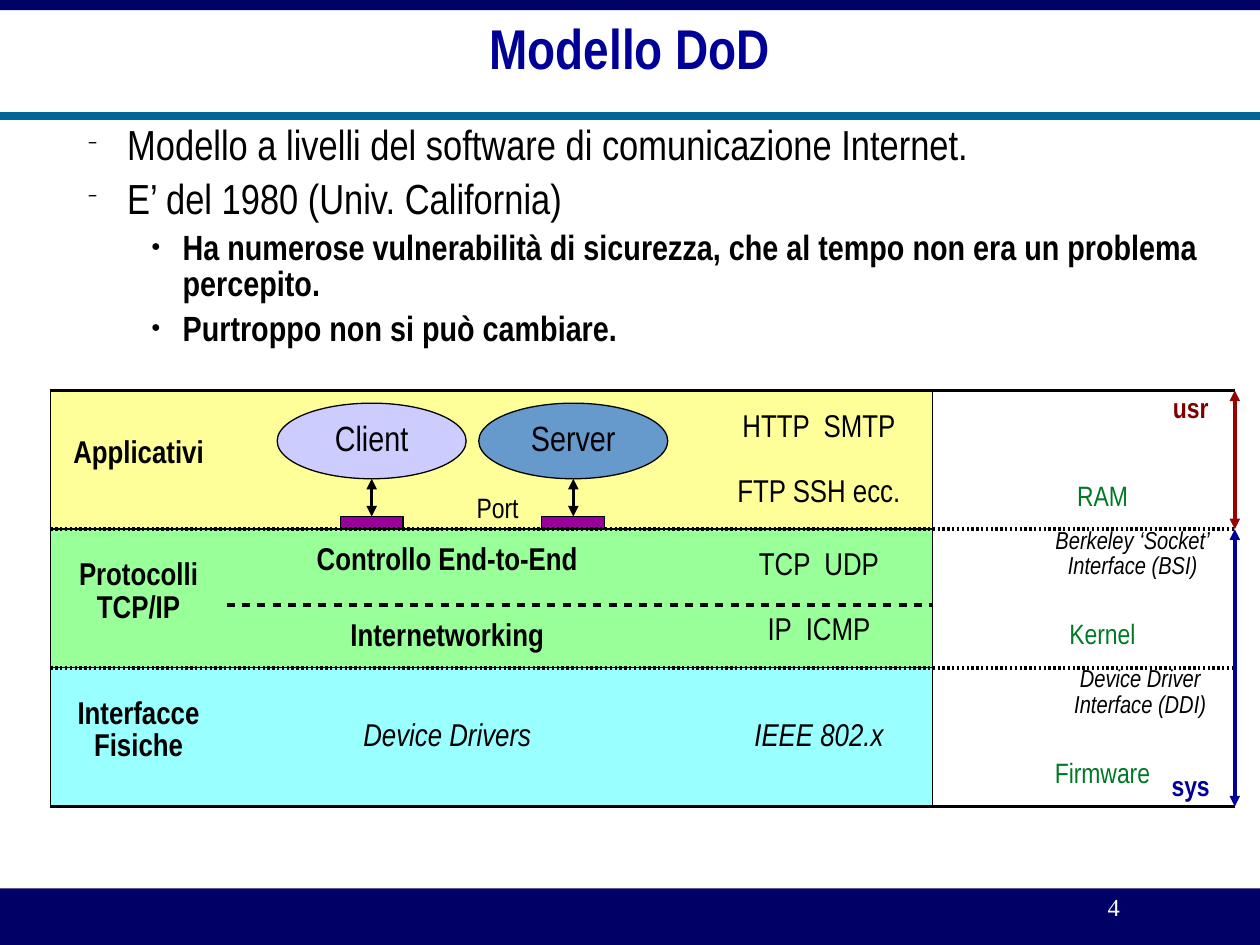
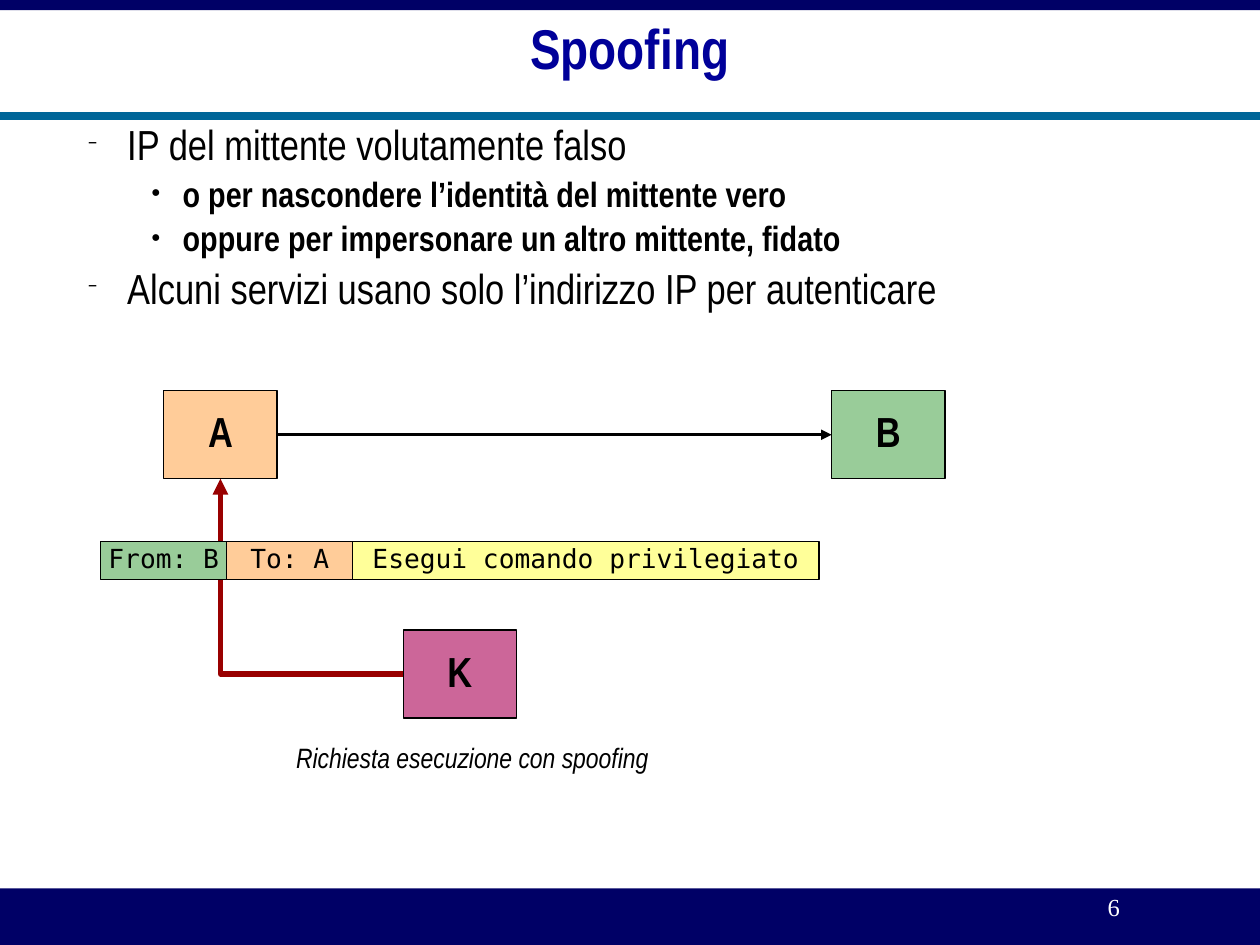
"""Builds two slides on the DoD model and on IP spoofing."""
import pptx
import pptx.dml.color
import pptx.enum.shapes
import pptx.enum.text
import pptx.oxml
import pptx.oxml.ns
import pptx.util

Inches = pptx.util.Inches
Pt = pptx.util.Pt
Shape = pptx.enum.shapes.MSO_SHAPE
Connector = pptx.enum.shapes.MSO_CONNECTOR
Align = pptx.enum.text.PP_ALIGN
Anchor = pptx.enum.text.MSO_ANCHOR

BLACK, WHITE, NAVY, BLUE, TEAL = "000000", "FFFFFF", "000066", "000099", "006699"
YELLOW, GREEN, CYAN, PURPLE = "FFFF99", "99FF99", "99FFFF", "990099"
SAGE, PEACH, PINK, DARK_RED = "99CC99", "FFCC99", "CC6699", "990000"
MAROON, FOREST, LILAC, STEEL = "800000", "007826", "CCCCFF", "6699CC"

PLAIN = {"name": "Arial Narrow", "size": Pt(18), "bold": False, "italic": False}
BOLD = PLAIN | {"bold": True}
ITALIC = PLAIN | {"italic": True}
SMALL = PLAIN | {"size": Pt(16)}
SMALL_BOLD = BOLD | {"size": Pt(16)}
INTERFACE = ITALIC | {"size": Pt(14)}
ROLE = PLAIN | {"size": Pt(20)}
HOST = BOLD | {"size": Pt(24)}
PACKET = PLAIN | {"name": "DejaVu Sans Mono", "size": Pt(15)}
TITLE = BOLD | {"size": Pt(32)}
PAGE = PLAIN | {"name": "Times New Roman", "size": Pt(14)}
LEVELS = {
    1: {"font": PLAIN | {"size": Pt(24)}, "bullet": "−", "margin": 0.81, "indent": -0.31, "before": 6},
    2: {"font": BOLD | {"size": Pt(20)}, "bullet": "●", "margin": 1.25, "indent": -0.25, "before": 5},
}
FRAME = {"margin_left": 0, "margin_right": 0, "margin_top": 0, "margin_bottom": 0,
         "auto_size": pptx.enum.text.MSO_AUTO_SIZE.NONE}
DOTTED, DASHED = (60, 60), (200, 180)
BOTH, FORWARD = ("headEnd", "tailEnd"), ("tailEnd",)


def rgb(value):
    return pptx.dml.color.RGBColor.from_string(value)


def apply(target, values):
    for key, value in values.items():
        setattr(target, key, value)


def child(parent, tag, **attributes):
    element = pptx.oxml.parse_xml(f"<a:{tag} {pptx.oxml.ns.nsdecls('a')}/>")
    for key, value in attributes.items():
        element.set(key, str(value))
    parent.append(element)
    return element


class Deck:
    def __init__(self):
        self.show = pptx.Presentation()
        self.show.slide_width, self.show.slide_height = Inches(10), Inches(7.5)
        self.slide = None

    def begin_slide(self, title, points, page):
        self.slide = self.show.slides.add_slide(self.show.slide_layouts[1])
        self.box((0, 7.05, 10, 0.45), NAVY, outline=None)
        self.box((0, 0, 10, 0.08), NAVY, outline=None)
        self.line((0, 0.92), (10, 0.92), TEAL, 4.5)
        self.label((7.8, 7.05, 2.08, 0.33), page, PAGE, WHITE)
        heading, body = self.slide.placeholders
        self.place(heading, (0.2, 0, 9.6, 0.83))
        self.set_lines(heading.text_frame, title, TITLE, BLUE)
        self.place(body, (0.2, 1, 9.6, 5.8))
        self.set_bullets(body.text_frame, points)

    def place(self, holder, at):
        apply(holder, dict(zip(("left", "top", "width", "height"), map(Inches, at))))

    def set_lines(self, frame, words, style, color=BLACK, gap=0, align=Align.CENTER):
        apply(frame, FRAME | {"word_wrap": False, "vertical_anchor": Anchor.MIDDLE})
        for number, line in enumerate(words.split("\n")):
            paragraph = frame.add_paragraph() if number else frame.paragraphs[0]
            apply(paragraph, {"alignment": align, "line_spacing": 0.86,
                              "space_before": Pt(gap if number else 0)})
            self.add_words(paragraph, line, style, color)

    def add_words(self, paragraph, words, style, color):
        run = paragraph.add_run()
        run.text = words
        apply(run.font, style)
        run.font.color.rgb = rgb(color)

    def set_bullets(self, frame, points):
        apply(frame, FRAME | {"word_wrap": True, "vertical_anchor": Anchor.TOP})
        for number, (level, words) in enumerate(points):
            look = LEVELS[level]
            paragraph = frame.add_paragraph() if number else frame.paragraphs[0]
            apply(paragraph, {"level": level, "alignment": Align.LEFT, "line_spacing": 0.86,
                              "space_before": Pt(look["before"])})
            properties = paragraph._p.get_or_add_pPr()
            properties.set("marL", str(Inches(look["margin"])))
            properties.set("indent", str(Inches(look["indent"])))
            child(child(properties, "buClr"), "srgbClr", val=BLACK)
            child(properties, "buSzPct", val=45000)
            child(properties, "buFont", typeface="Arial Narrow")
            child(properties, "buChar", char=look["bullet"])
            self.add_words(paragraph, words, look["font"], BLACK)

    def label(self, at, words, style, color=BLACK, gap=0, align=Align.CENTER):
        holder = self.slide.shapes.add_textbox(*map(Inches, at))
        self.set_lines(holder.text_frame, words, style, color, gap, align)

    def box(self, at, fill, words="", style=PLAIN, outline=BLACK, kind=Shape.RECTANGLE):
        block = self.slide.shapes.add_shape(kind, *map(Inches, at))
        block.shadow.inherit = False
        block.fill.solid()
        block.fill.fore_color.rgb = rgb(fill)
        if outline:
            block.line.color.rgb = rgb(outline)
            block.line.width = Pt(0)
        else:
            block.line.fill.background()
        if words:
            self.set_lines(block.text_frame, words, style)

    def line(self, start, end, color=BLACK, width=0, dash=None, heads=(), bent=False):
        kind = Connector.ELBOW if bent else Connector.STRAIGHT
        link = self.slide.shapes.add_connector(kind, *map(Inches, start + end))
        link.line.color.rgb = rgb(color)
        link.line.width = Pt(width)
        properties = link._element.spPr
        if bent:
            properties.find(pptx.oxml.ns.qn("a:prstGeom")).set("prst", "bentConnector2")
        stroke = properties.get_or_add_ln()
        if dash:
            on, off = dash
            child(child(stroke, "custDash"), "ds", d=on * 1000, sp=off * 1000)
        for head in heads:
            child(stroke, head, type="triangle")
        child(properties, "effectLst")


def dod_model(deck):
    deck.begin_slide("Modello DoD", [
        (1, "Modello a livelli del software di comunicazione Internet."),
        (1, "E’ del 1980 (Univ. California)"),
        (2, "Ha numerose vulnerabilità di sicurezza, che al tempo non era un problema percepito."),
        (2, "Purtroppo non si può cambiare."),
    ], "4")
    layers = [
        (YELLOW, "Applicativi", "HTTP  SMTP\nFTP SSH ecc.", PLAIN, "RAM"),
        (GREEN, "Protocolli\nTCP/IP", "TCP  UDP\nIP  ICMP", PLAIN, "Kernel"),
        (CYAN, "Interfacce\nFisiche", "IEEE 802.x", ITALIC, "Firmware"),
    ]
    for number, (fill, layer, protocols, style, memory) in enumerate(layers):
        top = 3.1 + 1.1 * number
        deck.box((0.4, top, 7, 1.1), fill)
        deck.label((0.4, top + 0.1, 1.4, 0.8), layer, BOLD)
        deck.label((5.6, top + 0.1, 1.8, 0.9), protocols, style, gap=18.5)
        deck.label((8.1, top + 0.7, 1.3, 0.3), memory, SMALL, FOREST)

    for top, function, style in [(4.2, "Controllo End-to-End", BOLD),
                                 (4.8, "Internetworking", BOLD),
                                 (5.6, "Device Drivers", ITALIC)]:
        deck.label((2, top, 3.1, 0.5), function, style)

    for left, role, fill in [(2.2, "Client", LILAC), (3.8, "Server", STEEL)]:
        center = left + 0.75
        deck.box((left, 3.2, 1.5, 0.6), fill, role, ROLE, kind=Shape.OVAL)
        deck.box((center - 0.25, 4.1, 0.5, 0.1), PURPLE)
        deck.line((center, 3.8), (center, 4.1), heads=BOTH)
    deck.label((3.6, 3.9, 0.7, 0.3), "Port", SMALL)

    deck.label((9.1, 3.1, 0.7, 0.3), "usr", SMALL_BOLD, MAROON)
    deck.label((9.1, 6.1, 0.7, 0.3), "sys", SMALL_BOLD, BLUE)
    deck.label((8.04, 4.1, 1.9, 0.6), "Berkeley ‘Socket’\nInterface (BSI)", INTERFACE)
    deck.label((8.1, 5.2, 1.9, 0.6), "Device Driver\nInterface (DDI)", INTERFACE)

    for height, width, dash in [(4.2, 2.3, DOTTED), (5.3, 2.3, DOTTED), (3.1, 0, None), (6.4, 0, None)]:
        deck.line((0.4, height), (9.8, height), width=width, dash=dash)
    deck.line((1.8, 4.8), (7.4, 4.8), width=2.3, dash=DASHED)
    deck.line((9.8, 3.1), (9.8, 4.2), DARK_RED, heads=BOTH)
    deck.line((9.8, 4.2), (9.8, 6.4), BLUE, heads=BOTH)


def spoofing(deck):
    deck.begin_slide("Spoofing", [
        (1, "IP del mittente volutamente falso"),
        (2, "o per nascondere l’identità del mittente vero"),
        (2, "oppure per impersonare un altro mittente, fidato"),
        (1, "Alcuni servizi usano solo l’indirizzo IP per autenticare"),
    ], "6")
    deck.line((3.2, 5.35), (1.75, 3.8), DARK_RED, 3, heads=FORWARD, bent=True)
    left = 0.8
    for width, fill, field in [(1, SAGE, "From: B"), (1, PEACH, "To: A"),
                               (3.7, YELLOW, "Esegui comando privilegiato")]:
        deck.box((left, 4.3, width, 0.3), fill, field, PACKET)
        left += width
    for left, top, fill, host in [(1.3, 3.1, PEACH, "A"), (6.6, 3.1, SAGE, "B"), (3.2, 5, PINK, "K")]:
        deck.box((left, top, 0.9, 0.7), fill, host, HOST)
    deck.line((2.2, 3.45), (6.6, 3.45), heads=FORWARD)
    deck.label((2.35, 5.9, 3.43, 0.26), "Richiesta esecuzione con spoofing",
               SMALL | {"italic": True}, align=Align.LEFT)


def main():
    deck = Deck()
    dod_model(deck)
    spoofing(deck)
    deck.show.save("out.pptx")


if __name__ == "__main__":
    main()
